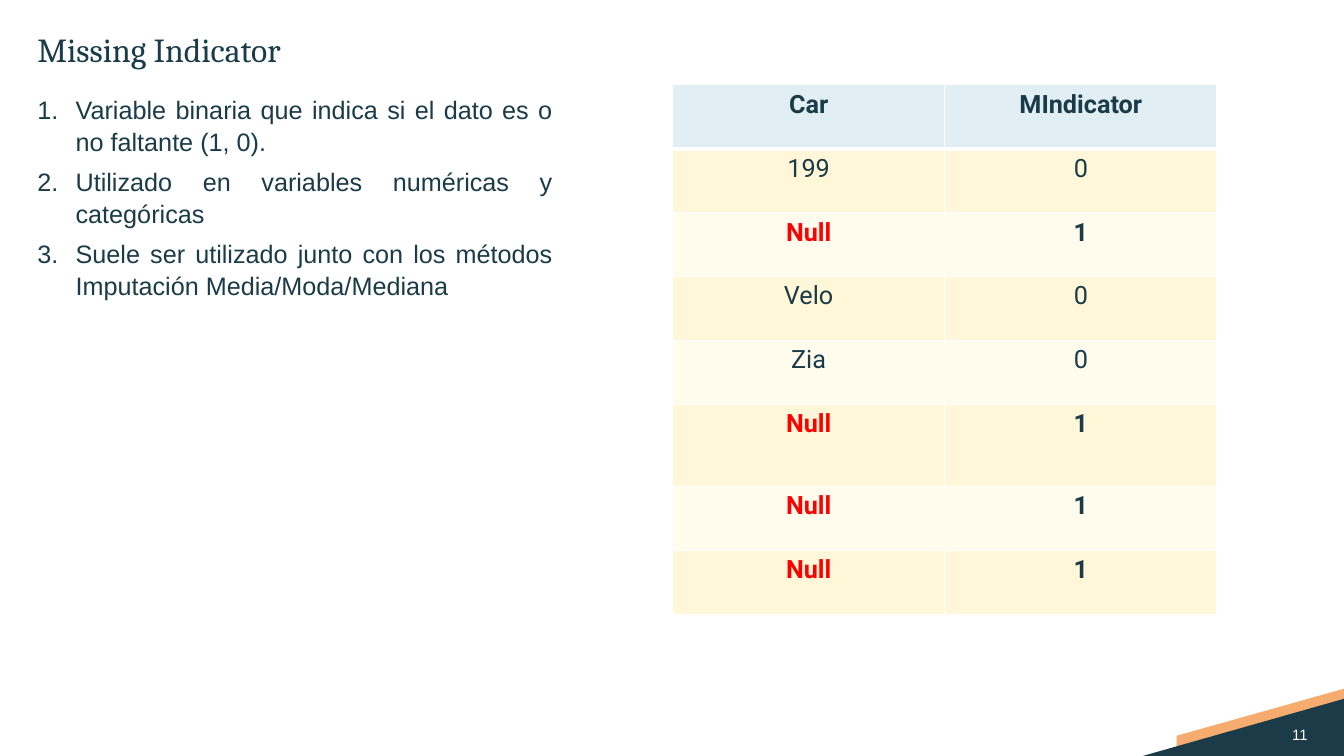
import pptx
import pptx.util
import pptx.dml.color
import pptx.enum.text
import pptx.oxml.ns
from lxml import etree

Inches, Pt = pptx.util.Inches, pptx.util.Pt
ALIGN, ANCHOR = pptx.enum.text.PP_ALIGN, pptx.enum.text.MSO_ANCHOR
NAVY, ORANGE, RED, WHITE = "1A3B47", "F7AC6F", "FF0000", "FFFFFF"
HEADER, BAND_DARK, BAND_LIGHT = "E1EFF4", "FFF7D8", "FFFBED"

RULES = [
    "Variable binaria que indica si el dato es o no faltante (1, 0).",
    "Utilizado en variables numéricas y categóricas",
    "Suele ser utilizado junto con los métodos Imputación Media/Moda/Mediana",
]
CARS = ["199", "Null", "Velo", "Zia", "Null", "Null", "Null"]


def color(hex_code):
    """Turn a hex string into a colour."""
    return pptx.dml.color.RGBColor.from_string(hex_code)


def sub(parent, tag, **attrs):
    """Append an XML child with attributes."""
    return etree.SubElement(parent, pptx.oxml.ns.qn(tag), attrs)


def style(p, size, font, hex_code, align=ALIGN.LEFT, bold=False):
    """Format a paragraph and its runs."""
    p.alignment = align
    for r in p.runs:
        r.font.size, r.font.name, r.font.bold = Pt(size), font, bold
        r.font.color.rgb = color(hex_code)


def add_text(s, box, text):
    """Add a wrapping text box without margins and return its frame."""
    tf = s.shapes.add_textbox(*map(Inches, box)).text_frame
    tf.word_wrap = True
    tf.margin_left = tf.margin_top = tf.margin_right = tf.margin_bottom = 0
    tf.text = text
    return tf


def add_polygon(s, points, hex_code):
    """Draw a filled outline through points in inches."""
    points = [(Inches(x), Inches(y)) for x, y in points]
    builder = s.shapes.build_freeform(*points[0])
    builder.add_line_segments(points[1:], close=True)
    sp = builder.convert_to_shape()
    sp.shadow.inherit = False
    sp.fill.solid()
    sp.fill.fore_color.rgb = color(hex_code)
    sp.line.fill.background()


def add_corner(s, box, number):
    """Draw the corner wedges and the slide number."""
    x, y, w, h = box
    right, bottom = x + w, y + h
    add_polygon(s, [(right, y + 0.42), (right, y), (x + 0.37, y + 0.47),
                    (x + 0.37, y + 0.66)], ORANGE)
    add_polygon(s, [(x, bottom - 0.02), (right, y + 0.1), (right, bottom)], NAVY)
    tf = add_text(s, (x + 1.25, y + 0.28, 0.42, 0.35), number)
    tf.vertical_anchor = ANCHOR.MIDDLE
    style(tf.paragraphs[0], 10.7, "Arial", WHITE, ALIGN.RIGHT)


def add_title(s, box, text):
    """Add the slide title."""
    p = add_text(s, box, text).paragraphs[0]
    p.line_spacing = 0.9
    style(p, 24, "Cambria", NAVY)


def add_numbered_list(s, box, items):
    """Add a justified numbered list."""
    tf = add_text(s, box, "\n".join(items))
    for i, p in enumerate(tf.paragraphs):
        p.line_spacing = 1.05
        p.space_before = Pt(6 if i else 0)
        pPr = p._p.get_or_add_pPr()
        indent = Inches(0.38)
        pPr.set("marL", str(indent))
        pPr.set("indent", str(-indent))
        sub(pPr, "a:buFont", typeface="+mj-lt")
        sub(pPr, "a:buAutoNum", type="arabicPeriod")
        style(p, 18, "Arial", NAVY, ALIGN.JUSTIFY)


def set_borders(cell, bottom):
    """Give a cell white borders, with its own bottom width in points."""
    tcPr = cell._tc.get_or_add_tcPr()
    for side, width in (("L", 1), ("R", 1), ("T", 1), ("B", bottom)):
        ln = sub(tcPr, "a:ln" + side, w=str(Pt(width)))
        sub(sub(ln, "a:solidFill"), "a:srgbClr", val=WHITE)


def add_indicator_table(s, box, cars):
    """Add the table that marks each missing car with 1."""
    rows = [("Car", "MIndicator")]
    rows += [(car, "1" if car == "Null" else "0") for car in cars]
    table = s.shapes.add_table(len(rows), 2, *map(Inches, box)).table
    for i, values in enumerate(rows):
        table.rows[i].height = Inches(0.81 if i == 5 else 0.635)
        missing = values[0] == "Null"
        fill = HEADER if i == 0 else BAND_DARK if i % 2 else BAND_LIGHT
        for j, value in enumerate(values):
            cell = table.cell(i, j)
            set_borders(cell, 1 if i else 3)
            cell.fill.solid()
            cell.fill.fore_color.rgb = color(fill)
            cell.text_frame.text = value
            style(cell.text_frame.paragraphs[0], 18, "Roboto",
                  RED if value == "Null" else NAVY, ALIGN.CENTER, i == 0 or missing)


def main():
    """Build and save the slide."""
    prs = pptx.Presentation()
    prs.slide_width, prs.slide_height = Inches(13.33), Inches(7.5)
    s = prs.slides.add_slide(prs.slide_layouts[6])
    add_corner(s, (11.3, 6.83, 2.04, 0.7), "11")
    add_title(s, (0.37, 0.33, 12.6, 0.51), "Missing Indicator")
    add_numbered_list(s, (0.37, 0.92, 5.11, 3.35), RULES)
    add_indicator_table(s, (6.67, 0.84, 5.4, 5.25), CARS)
    prs.save("out.pptx")


if __name__ == "__main__":
    main()
